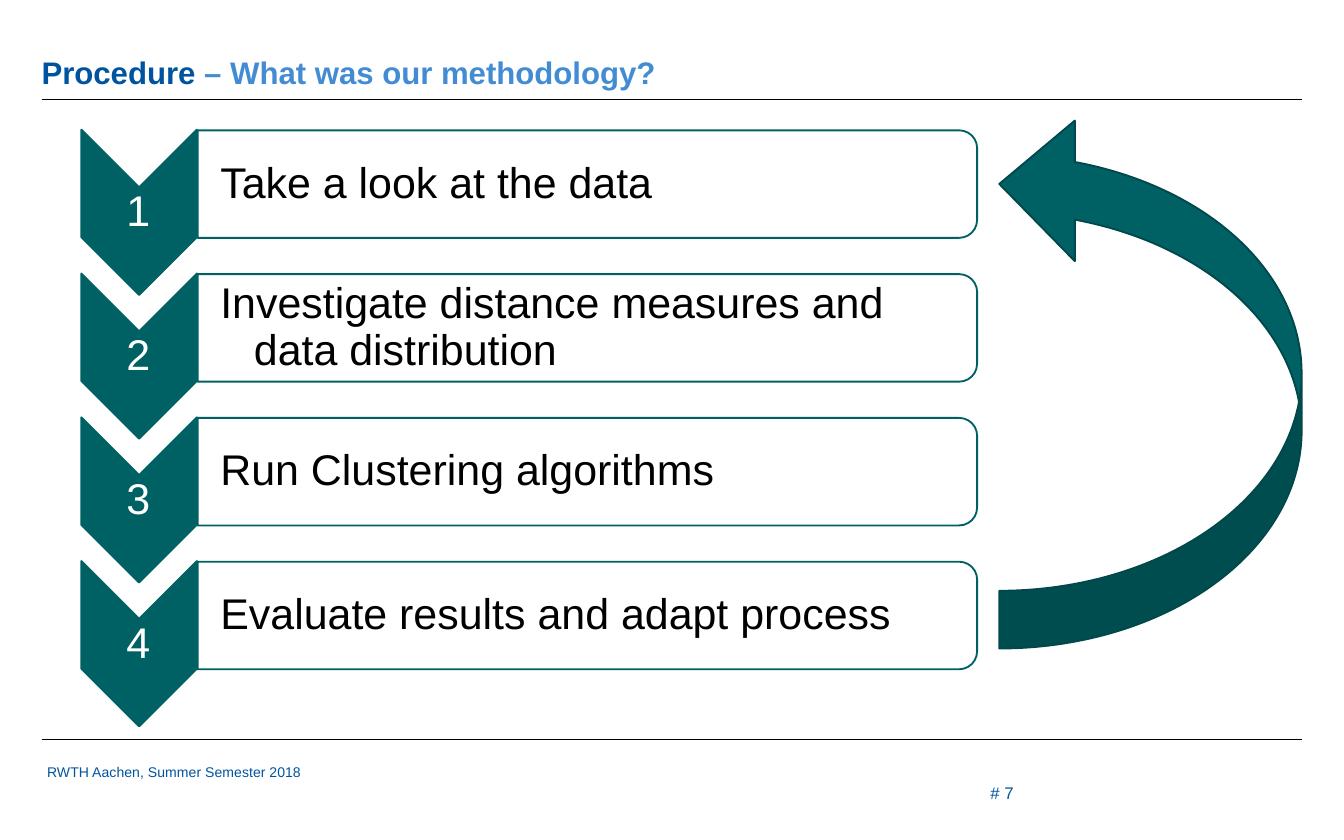
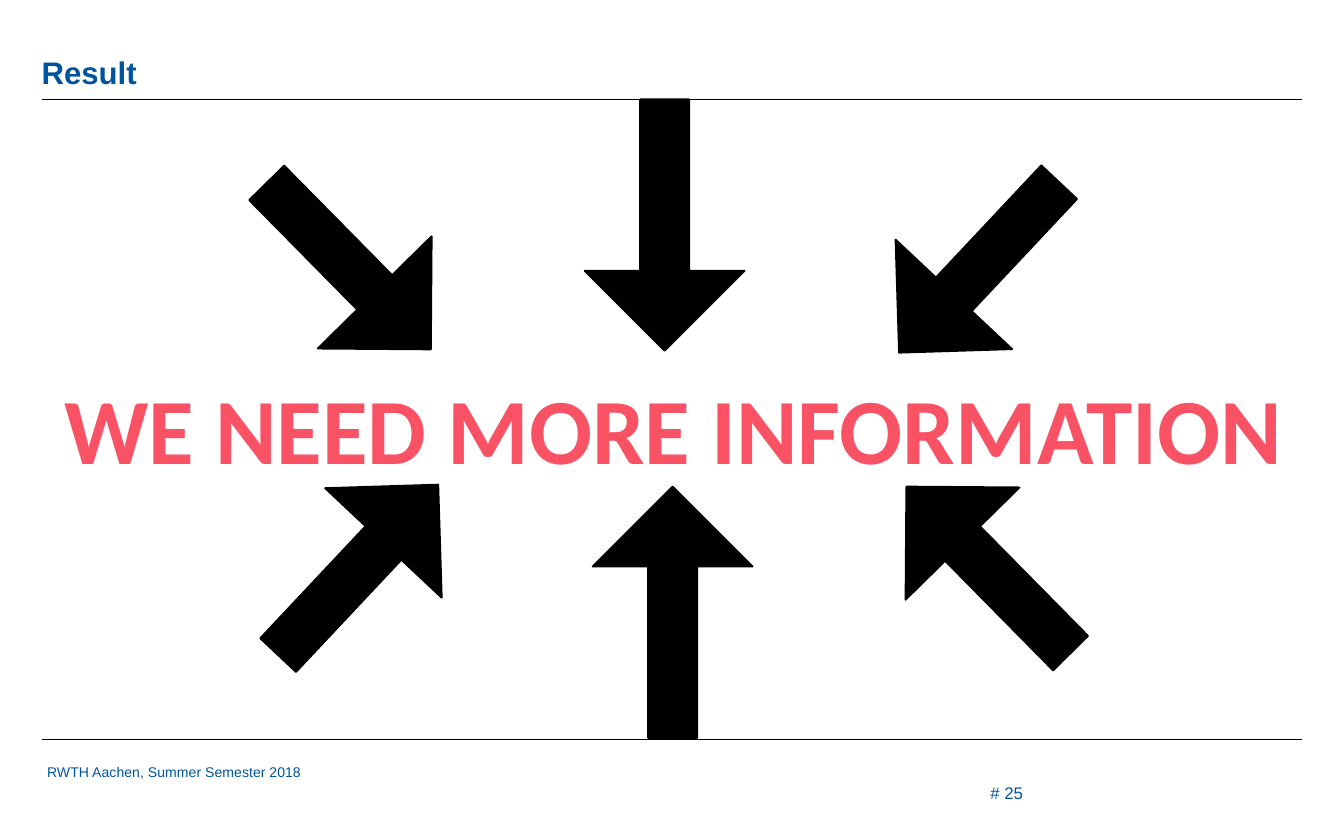
from lxml.etree import SubElement
from pptx import Presentation
from pptx.dml.color import RGBColor
from pptx.enum.shapes import MSO_CONNECTOR as CONNECTOR, MSO_SHAPE as SHAPE
from pptx.enum.text import MSO_ANCHOR as ANCHOR, PP_ALIGN as ALIGN
from pptx.oxml.ns import qn
from pptx.util import Inches, Pt

hex_color = RGBColor.from_string

# Shared colours and text formats
BLUE, LIGHT_BLUE, TEAL, DARK_TEAL = "00549F", "438CD4", "006165", "00484B"
BLACK, WHITE, RED = "000000", "FFFFFF", "F95265"
TITLE = {"size": Pt(16.7), "name": "Arial", "bold": True}
FOOTER = {"size": Pt(7.5), "name": "Arial"}
PAGE_NUMBER = {"size": Pt(9), "name": "Arial"}
STEP = {"size": Pt(23), "name": "Arial"}
SLOGAN = {"size": Pt(50), "name": "Calibri", "bold": True}


def add_text(slide, at, runs, font, insets=(0, 0, 0, 0), anchor=ANCHOR.TOP, **paragraph_format):
    frame = slide.shapes.add_textbox(*map(Inches, at)).text_frame
    frame_format = {"word_wrap": True, "vertical_anchor": anchor}
    for side, inset in zip(("left", "top", "right", "bottom"), insets):
        frame_format[f"margin_{side}"] = Inches(inset)
    for key, value in frame_format.items():
        setattr(frame, key, value)
    paragraph = frame.paragraphs[0]
    for key, value in paragraph_format.items():
        setattr(paragraph, key, value)
    for words, color in runs:
        run = paragraph.add_run()
        run.text = words
        for key, value in font.items():
            setattr(run.font, key, value)
        run.font.color.rgb = hex_color(color)
    return paragraph


def add_figure(slide, kind, at, rotation, fill, line, adjustments=()):
    figure = slide.shapes.add_shape(kind, *map(Inches, at))
    figure.rotation = rotation
    figure.shadow.inherit = False
    figure.fill.solid()
    figure.fill.fore_color.rgb = hex_color(fill)
    figure.line.color.rgb = hex_color(line)
    figure.line.width = Pt(1)
    for index, value in enumerate(adjustments):
        figure.adjustments[index] = value
    return figure


deck = Presentation()
deck.slide_width, deck.slide_height = Inches(10), Inches(6.25)

# Title, rules and footer of both slides
headings = [
    ([("Procedure ", BLUE), ("– What was our methodology?", LIGHT_BLUE)], 7),
    ([("Result", BLUE)], 25),
]
for title, number in headings:
    slide = deck.slides.add_slide(deck.slide_layouts[6])
    add_text(slide, (0.35, 5.68, 2.15, 0.57), [("RWTH Aachen, Summer Semester 2018", BLUE)], FOOTER)
    for y in (0.74, 5.5):
        rule = slide.shapes.add_connector(
            CONNECTOR.STRAIGHT, Inches(0.31), Inches(y), Inches(9.69), Inches(y))
        rule.line.color.rgb = hex_color(BLACK)
        rule.line.width = Pt(0.5)
        SubElement(rule.line._get_or_add_ln().getparent(), qn("a:effectLst"))
    add_text(slide, (0.31, 0.18, 9.37, 0.5), title, TITLE, anchor=ANCHOR.BOTTOM, line_spacing=0.9)
    add_text(slide, (7.27, 5.7, 1, 0.33), [(f"# {number}", BLUE)], PAGE_NUMBER,
             insets=(0.1, 0.05, 0.1, 0.05), line_spacing=1.5)

procedure, result = deck.slides

# Procedure: numbered steps
steps = [
    "Take a look at the data",
    "Investigate distance measures and data distribution",
    "Run Clustering algorithms",
    "Evaluate results and adapt process",
]
for index, step in enumerate(steps):
    drop = 1.07 * index
    add_figure(procedure, SHAPE.CHEVRON, (0.42, 1.15 + drop, 1.23, 0.86), 90, TEAL, TEAL)
    add_text(procedure, (0.6, 1.4 + drop, 0.86, 0.37), [(str(index + 1), WHITE)], STEP,
             insets=[0.02] * 4, anchor=ANCHOR.MIDDLE, alignment=ALIGN.CENTER, line_spacing=0.9)
    panel = add_figure(procedure, SHAPE.ROUND_2_SAME_RECTANGLE,
                       (3.97, -1.53 + drop, 0.8, 5.8), 90, WHITE, TEAL)
    panel_color = panel.fill._xPr.find(qn("a:solidFill"))[0]
    SubElement(panel_color, qn("a:alpha"), val="90000")
    label = add_text(procedure, (1.46, 1.01 + drop, 5.76, 0.72), [(step, BLACK)], STEP,
                     insets=(0.18, 0.02, 0.02, 0.02), anchor=ANCHOR.MIDDLE, line_spacing=0.9)
    indents = label._p.get_or_add_pPr()
    indents.set("marL", str(Inches(0.25)))
    indents.set("indent", str(Inches(-0.25)))

# Procedure: arrow back to the first step
add_figure(procedure, SHAPE.CURVED_UP_ARROW, (6.57, 1.71, 3.98, 2.25), 270,
           TEAL, DARK_TEAL, (0.191, 0.465, 0.25))

# Result: slogan with arrows pointing at it
add_text(result, (0.33, 2.76, 9.37, 0.9), [("WE NEED MORE INFORMATION", RED)], SLOGAN,
         alignment=ALIGN.CENTER)
arrows = [
    (4.35, 0.74, 1.87, 0), (6.69, 1.12, 1.74, 43.2), (2, 1.11, 1.74, 315.4),
    (4.41, 3.62, 1.87, 180), (2.07, 3.37, 1.74, 223.2), (6.76, 3.37, 1.74, 135.4),
]
for left, top, length, rotation in arrows:
    add_figure(result, SHAPE.DOWN_ARROW, (left, top, 1.19, length), rotation,
               BLACK, BLACK, (0.307, 0.5))

# The shaft ratio comes first for the two-handle arrow shapes
deck.save("out.pptx")
